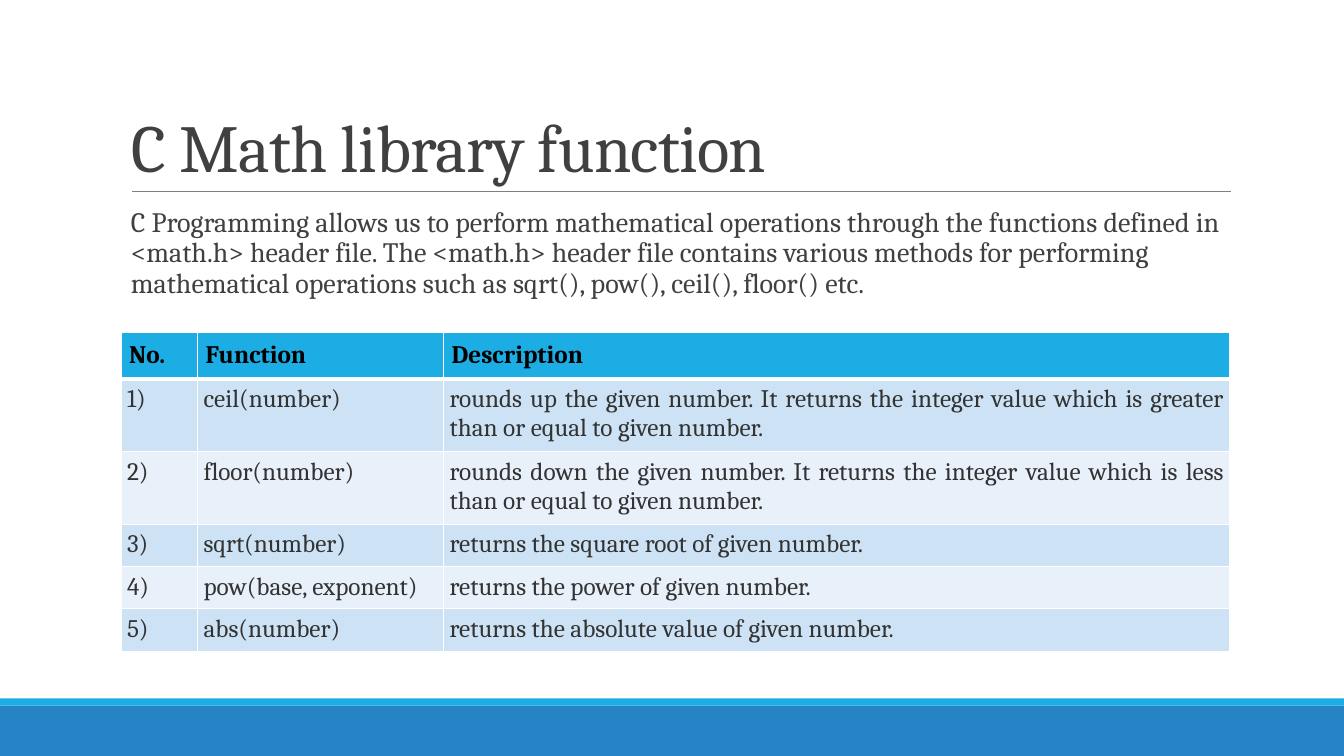
from pptx import Presentation
from pptx import util as u
from pptx.dml.color import RGBColor
from pptx.enum import shapes, text
from pptx.oxml import parse_xml
from pptx.oxml.ns import nsdecls

FONT = "Cambria"
HUES = {"sky": "1CADE4", "blue": "2683C6", "gray": "808080", "dark": "404040",
        "body": "333333", "black": "000000", "white": "FFFFFF",
        "odd": "CDE3F5", "even": "E8F1FA"}

INTRO = ("C Programming allows us to perform mathematical operations through the "
         "functions defined in <math.h> header file. The <math.h> header file "
         "contains various methods for performing mathematical operations such as "
         "sqrt(), pow(), ceil(), floor() etc.")
HEADS = ["No.", "Function", "Description"]
FUNCS = [
    ("ceil(number)", "rounds up the given number. It returns the integer value "
     "which is greater than or equal to given number."),
    ("floor(number)", "rounds down the given number. It returns the integer value "
     "which is less than or equal to given number."),
    ("sqrt(number)", "returns the square root of given number."),
    ("pow(base, exponent)", "returns the power of given number."),
    ("abs(number)", "returns the absolute value of given number."),
]


def hue(name):
    return RGBColor.from_string(HUES[name])


def place(shape, *box):
    shape.left, shape.top, shape.width, shape.height = map(u.Inches, box)


def style(para, size, color, bold=False):
    for run in para.runs:
        font = run.font
        font.name, font.size, font.bold = FONT, u.Pt(size), bold
        font.color.rgb = hue(color)


def add_bar(slide, top, height, color):
    bar = slide.shapes.add_shape(shapes.MSO_SHAPE.RECTANGLE, 0, u.Inches(top),
                                 u.Inches(13.33), u.Inches(height))
    bar.shadow.inherit = False
    bar.fill.solid()
    bar.fill.fore_color.rgb = hue(color)
    bar.line.fill.background()


def add_rule(slide, left, right, y):
    rule = slide.shapes.add_connector(
        shapes.MSO_CONNECTOR.STRAIGHT, *map(u.Inches, (left, y, right, y)))
    rule.line.color.rgb = hue("gray")
    rule.line.width = u.Pt(0.5)
    rule._element.spPr.append(parse_xml(f"<a:effectLst {nsdecls('a')}/>"))


def set_title(slide, words):
    title = slide.shapes.title
    place(title, 1.2, 0.31, 11, 1.59)
    frame = title.text_frame
    frame.text = words
    frame.word_wrap = True
    frame.vertical_anchor = text.MSO_ANCHOR.BOTTOM
    para = frame.paragraphs[0]
    para.alignment = text.PP_ALIGN.LEFT
    para.line_spacing = 0.85
    style(para, 48, "dark")
    para.runs[0].font._element.set("spc", "-50")


def add_intro(slide, words):
    box = slide.shapes.add_textbox(0, 0, 0, 0)
    place(box, 1.2, 2.02, 11, 1.1)
    frame = box.text_frame
    frame.word_wrap = True
    frame.margin_left, frame.margin_right = u.Inches(0.1), 0
    frame.text = words
    para = frame.paragraphs[0]
    para.line_spacing = 0.9
    para.space_after = u.Pt(2)
    style(para, 20, "dark")


def add_edges(cell, top, base):
    # Border lines come before the fill in the cell properties
    props = cell._tc.get_or_add_tcPr()
    for spot, (side, width) in enumerate(zip("LRTB", (1, 1, top, base))):
        props.insert(spot, parse_xml(
            f'<a:ln{side} {nsdecls("a")} w="{u.Pt(width)}"><a:solidFill>'
            f'<a:srgbClr val="{HUES["white"]}"/></a:solidFill></a:ln{side}>'))


def fill_cell(cell, words, row):
    head = row == 0
    cell.text = words
    pad = u.Inches(0.08 if head else 0.06)
    cell.margin_left = cell.margin_right = pad
    cell.margin_top = cell.margin_bottom = pad
    cell.fill.solid()
    cell.fill.fore_color.rgb = hue("sky" if head else "odd" if row % 2 else "even")
    para = cell.text_frame.paragraphs[0]
    if not head:
        para.alignment = text.PP_ALIGN.JUSTIFY
    style(para, 18, "black" if head else "body", head)
    add_edges(cell, 3 if row == 1 else 1, 3 if head else 1)


def add_grid(slide, rows, widths):
    high = 0.41
    frame = slide.shapes.add_table(
        len(rows), len(widths),
        *map(u.Inches, (1.2, 3.3, sum(widths), high * len(rows))))
    table = frame.table
    for col, width in zip(table.columns, widths):
        col.width = u.Inches(width)
    for r, row in enumerate(rows):
        table.rows[r].height = u.Inches(high)
        for c, words in enumerate(row):
            fill_cell(table.cell(r, c), words, r)


def main():
    deck = Presentation()
    deck.slide_width, deck.slide_height = u.Inches(13.33), u.Inches(7.5)
    slide = deck.slides.add_slide(deck.slide_layouts[5])

    # Footer bands and title rule
    add_bar(slide, 7, 0.5, "blue")
    add_bar(slide, 6.93, 0.07, "sky")
    add_rule(slide, 1.31, 12.21, 1.9)

    # Heading and introduction
    set_title(slide, "C Math library function")
    add_intro(slide, INTRO)

    # Function table, numbered from 1
    rows = [HEADS] + [(f"{n})", *func) for n, func in enumerate(FUNCS, 1)]
    add_grid(slide, rows, (0.76, 2.44, 7.8))

    deck.save("out.pptx")


main()
